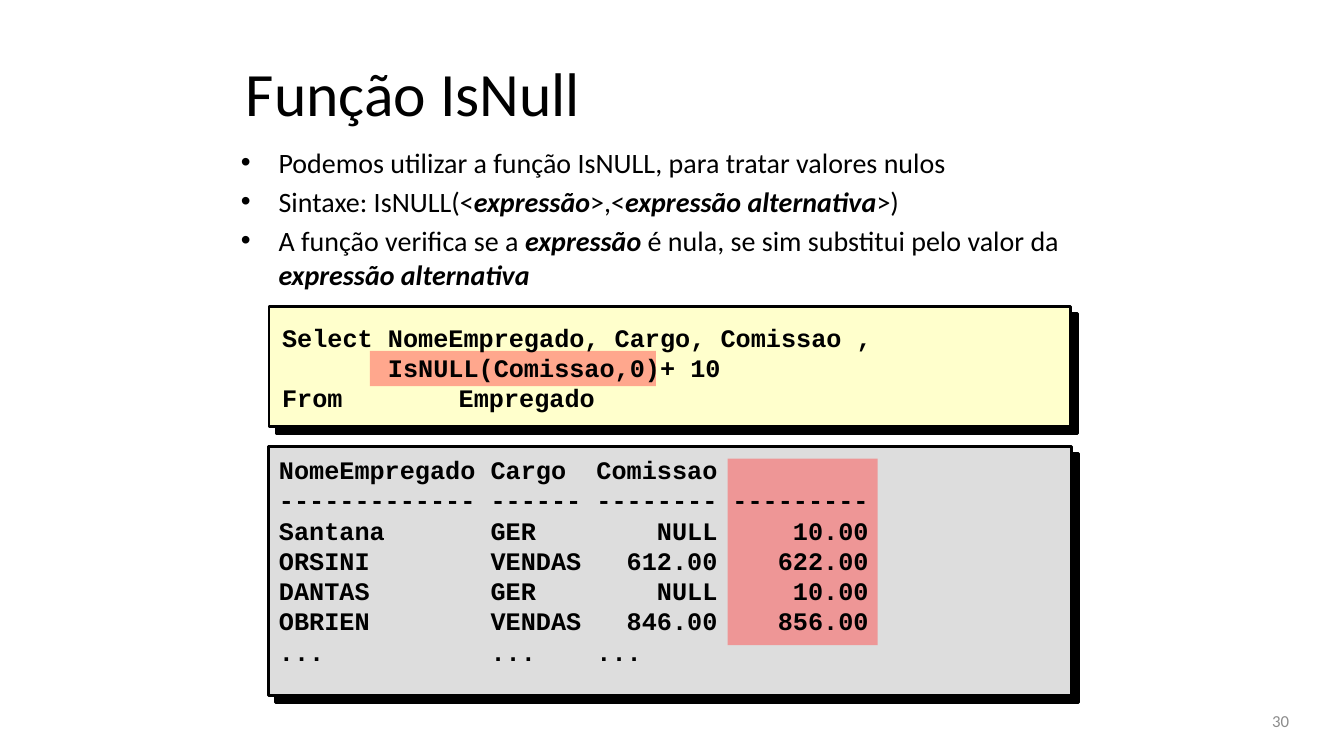
from lxml.etree import SubElement
from pptx import Presentation
from pptx.dml.color import RGBColor
from pptx.enum.shapes import MSO_SHAPE as Shape
from pptx.enum.text import MSO_ANCHOR as Anchor, PP_ALIGN as Align
from pptx.oxml.ns import qn
from pptx.util import Cm, Pt

BLACK = RGBColor(0, 0, 0)
GRAY = RGBColor(0x8C, 0x8C, 0x8C)
CREAM = RGBColor(0xFF, 0xFF, 0xCC)
SILVER = RGBColor(0xDD, 0xDD, 0xDD)
RED = RGBColor(0xFF, 0x50, 0x50)

TITLE = "Função IsNull"
PAGE_NUMBER = "30"
BULLETS = [
    [("Podemos utilizar a função IsNULL, para tratar valores nulos", False)],
    [("Sintaxe: IsNULL(<", False), ("expressão", True), (">,<", False),
     ("expressão alternativa", True), (">)", False)],
    [("A função verifica se a ", False), ("expressão", True),
     (" é nula, se sim substitui pelo valor da ", False),
     ("expressão alternativa", True)],
]
QUERY = [
    "Select NomeEmpregado, Cargo, Comissao ,",
    "       IsNULL(Comissao,0)+ 10",
    "From\tEmpregado",
]
RESULT = [
    "NomeEmpregado Cargo  Comissao",
    "------------- ------ -------- ---------",
    "Santana       GER        NULL     10.00",
    "ORSINI        VENDAS   612.00    622.00",
    "DANTAS        GER        NULL     10.00",
    "OBRIEN        VENDAS   846.00    856.00",
    "...           ...    ...",
]
PANELS = [
    ((6.78, 7.72, 20.19, 3.02), CREAM),
    ((6.76, 11.25, 20.24, 6.27), SILVER),
]
HIGHLIGHTS = [(9.32, 8.84, 7.21, 0.89), (18.34, 11.56, 3.78, 4.7)]
LISTINGS = [
    ((6.86, 7.72, 20.24, 3.07), QUERY, Anchor.MIDDLE),
    ((6.78, 11.33, 20.19, 5.64), RESULT, Anchor.TOP),
]
QUERY_TAB = Cm(4.45)
BULLET_INDENT = Cm(0.95)


def place(area):
    return [Cm(length) for length in area]


def add_rectangle(page, area, color):
    box = page.shapes.add_shape(Shape.RECTANGLE, *place(area))
    box.shadow.inherit = False
    box.fill.solid()
    box.fill.fore_color.rgb = color
    return box


def add_panel(page, area, color):
    box = add_rectangle(page, area, color)
    box.line.color.rgb = BLACK
    box.line.width = Pt(2)
    effects = box._element.spPr.find(qn("a:effectLst"))
    shadow = SubElement(effects, qn("a:outerShdw"), dist=str(Pt(7.1)),
                        dir="2700000", algn="ctr", rotWithShape="0")
    SubElement(shadow, qn("a:srgbClr"), val=str(BLACK))


def add_highlight(page, area):
    box = add_rectangle(page, area, RED)
    box.line.fill.background()
    color = box._element.spPr.find(qn("a:solidFill")).find(qn("a:srgbClr"))
    SubElement(color, qn("a:alpha"), val="50000")


def add_frame(page, area, anchor):
    frame = page.shapes.add_textbox(*place(area)).text_frame
    frame.word_wrap = True
    frame.vertical_anchor = anchor
    return frame


def next_para(frame, index):
    return frame.add_paragraph() if index else frame.paragraphs[0]


def add_span(para, text, font, size, color=BLACK, bold=False, italic=False):
    span = para.add_run()
    span.text = text
    span.font.name = font
    span.font.size = Pt(size)
    span.font.color.rgb = color
    span.font.bold = bold
    span.font.italic = italic


def add_bullets(page):
    frame = add_frame(page, (5.82, 3.53, 23.7, 3.43), Anchor.TOP)
    for index, pieces in enumerate(BULLETS):
        para = next_para(frame, index)
        if index:
            para.space_before = Pt(4)
        properties = para._p.get_or_add_pPr()
        properties.set("marL", str(BULLET_INDENT))
        properties.set("indent", str(-BULLET_INDENT))
        SubElement(properties, qn("a:buFont"), typeface="Arial")
        SubElement(properties, qn("a:buChar"), char="•")
        for text, strong in pieces:
            add_span(para, text, "Calibri", 20, bold=strong, italic=strong)


def add_listing(page, area, lines, anchor):
    frame = add_frame(page, area, anchor)
    for index, line in enumerate(lines):
        para = next_para(frame, index)
        if "\t" in line:
            tabs = SubElement(para._p.get_or_add_pPr(), qn("a:tabLst"))
            SubElement(tabs, qn("a:tab"), pos=str(QUERY_TAB), algn="l")
        add_span(para, line, "Courier New", 18, bold=True)


def main():
    deck = Presentation()
    deck.slide_width, deck.slide_height = Cm(33.87), Cm(19.05)
    page = deck.slides.add_slide(deck.slide_layouts[5])

    title = page.shapes.title
    title.left, title.top, title.width, title.height = place((5.94, 0.64, 23.8, 3.33))
    title.text_frame.vertical_anchor = Anchor.MIDDLE
    heading = title.text_frame.paragraphs[0]
    heading.alignment = Align.LEFT
    add_span(heading, TITLE, "Calibri", 44)

    add_bullets(page)
    for area, color in PANELS:
        add_panel(page, area, color)
    for area in HIGHLIGHTS:
        add_highlight(page, area)
    for area, lines, anchor in LISTINGS:
        add_listing(page, area, lines, anchor)

    number = add_frame(page, (24.84, 17.65, 7.9, 1.02), Anchor.MIDDLE).paragraphs[0]
    number.alignment = Align.RIGHT
    add_span(number, PAGE_NUMBER, "Calibri", 12, GRAY)
    deck.save("out.pptx")


if __name__ == "__main__":
    main()
